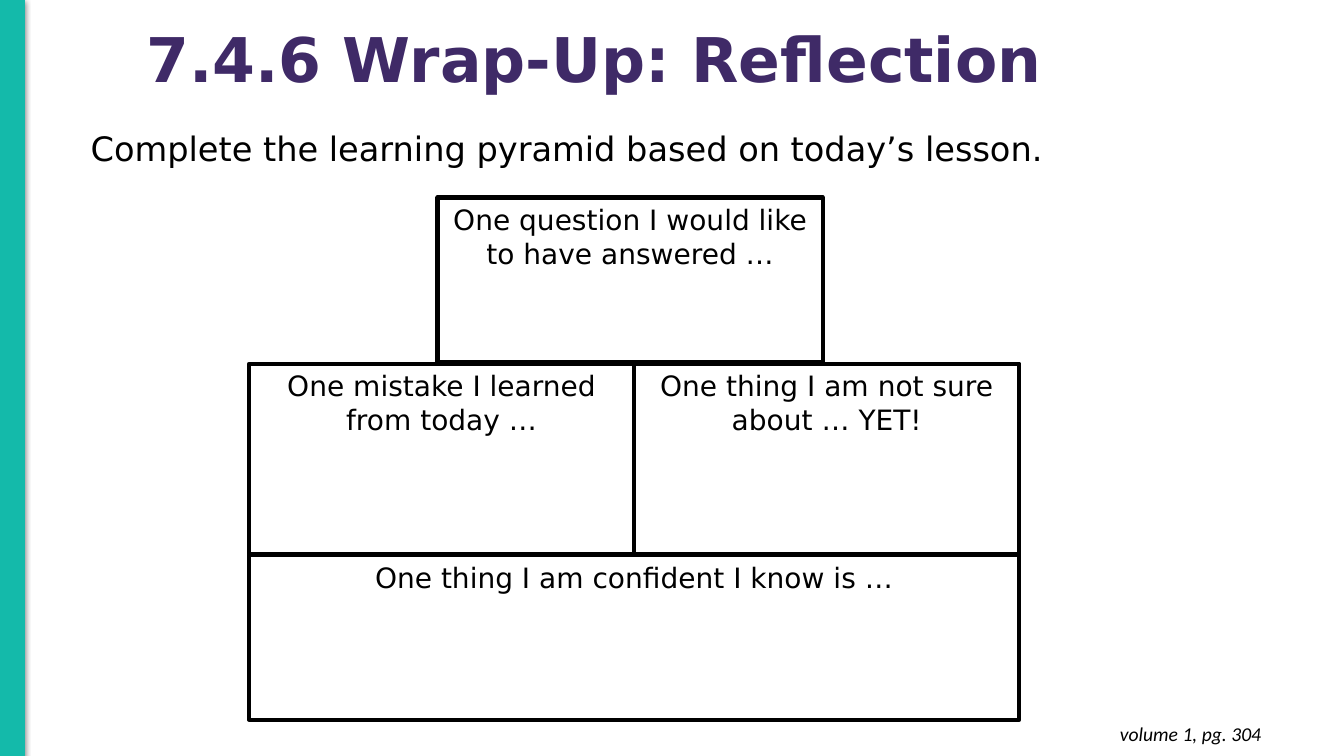
import pptx
import pptx.dml.color
import pptx.enum.shapes
import pptx.enum.text
import pptx.oxml
import pptx.oxml.ns
import pptx.util

Inches = pptx.util.Inches
Pt = pptx.util.Pt
RGBColor = pptx.dml.color.RGBColor
ALIGN = pptx.enum.text.PP_ALIGN
ANCHOR = pptx.enum.text.MSO_ANCHOR

TEAL = RGBColor(0x14, 0xBA, 0xAA)
PURPLE = RGBColor(0x3F, 0x2A, 0x67)
BLACK = RGBColor(0, 0, 0)
WHITE = RGBColor(0xFF, 0xFF, 0xFF)

BAR_SHADOW = (
    f'<a:effectLst {pptx.oxml.ns.nsdecls("a")}>'
    '<a:outerShdw blurRad="57150" dist="19050" dir="5400000" algn="ctr" rotWithShape="0">'
    '<a:srgbClr val="000000"><a:alpha val="50000"/></a:srgbClr>'
    '</a:outerShdw></a:effectLst>'
)


def apply(target, values):
    for name, value in values.items():
        setattr(target, name, value)


class LessonSlide:
    font = "DejaVu Sans"

    def __init__(self, deck):
        self.slide = deck.slides.add_slide(deck.slide_layouts[5])

    def put_text(self, shape, text, size, color=BLACK, font=None, paragraph=None,
                 anchor=ANCHOR.TOP, inset=0.05):
        frame = shape.text_frame
        apply(frame, {
            "word_wrap": True,
            "auto_size": pptx.enum.text.MSO_AUTO_SIZE.NONE,
            "vertical_anchor": anchor,
            "margin_left": Inches(0.1), "margin_right": Inches(0.1),
            "margin_top": Inches(inset), "margin_bottom": Inches(inset),
        })
        line = frame.paragraphs[0]
        apply(line, {"alignment": ALIGN.LEFT, "space_before": Pt(0), **(paragraph or {})})
        run = line.add_run()
        run.text = text
        apply(run.font, {"size": Pt(size), "name": font or self.font,
                         "bold": False, "italic": False})
        run.font.color.rgb = color
        return run

    def title(self, text, left, top, width, height):
        heading = self.slide.shapes.title
        apply(heading, {"left": Inches(left), "top": Inches(top),
                        "width": Inches(width), "height": Inches(height)})
        self.put_text(heading, text, 44, PURPLE, paragraph={"line_spacing": 0.9},
                      anchor=ANCHOR.MIDDLE).font.bold = True

    def label(self, text, area, size, **style):
        box = self.slide.shapes.add_textbox(*map(Inches, area))
        return self.put_text(box, text, size, **style)

    def block(self, area, fill, outline, weight):
        block = self.slide.shapes.add_shape(
            pptx.enum.shapes.MSO_SHAPE.RECTANGLE, *map(Inches, area))
        block.shadow.inherit = False
        block.fill.solid()
        block.fill.fore_color.rgb = fill
        block.line.color.rgb = outline
        block.line.width = Pt(weight)
        return block

    def side_bar(self, width, height):
        properties = self.block((0, 0, width, height), TEAL, TEAL, 0.75).element.spPr
        plain = properties.find(pptx.oxml.ns.qn("a:effectLst"))
        properties.replace(plain, pptx.oxml.parse_xml(BAR_SHADOW))

    def prompt(self, text, *area):
        block = self.block(area, WHITE, BLACK, 3)
        self.put_text(block, text, 20,
                      paragraph={"alignment": ALIGN.CENTER, "space_after": Pt(10)})


def main():
    deck = pptx.Presentation()
    apply(deck, {"slide_width": Inches(13.33), "slide_height": Inches(7.5)})

    reflection = LessonSlide(deck)
    reflection.side_bar(0.24, 7.5)
    reflection.title("7.4.6 Wrap-Up: Reflection", 1.35, -0.1, 9.88, 1.45)
    reflection.label("Complete the learning pyramid based on today’s lesson.",
                     (0.8, 1.22, 10.81, 0.5), 24)
    reflection.label("volume 1, pg. 304", (9.73, 7.06, 2.88, 0.44), 14, font="Calibri",
                     paragraph={"alignment": ALIGN.RIGHT}, inset=0.1).font.italic = True

    left, half = 2.47, 3.82
    reflection.prompt("One question I would like to have answered …", 4.34, 1.96, half, 1.63)
    middle_row = ["One mistake I learned from today …", "One thing I am not sure about … YET!"]
    for column, text in enumerate(middle_row):
        reflection.prompt(text, left + column * half, 3.61, half, 1.89)
    reflection.prompt("One thing I am confident I know is …", left, 5.51, 2 * half, 1.63)

    deck.save("out.pptx")


if __name__ == "__main__":
    main()
